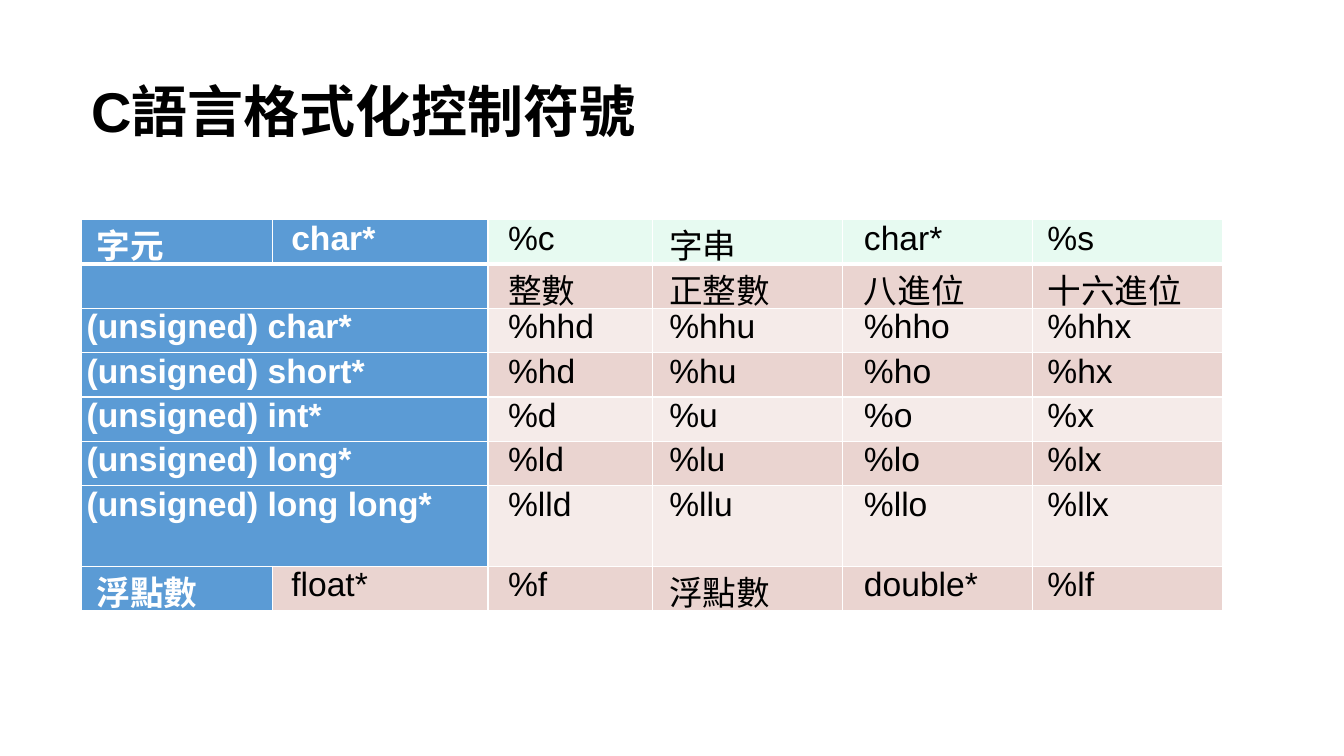
from lxml import etree
from pptx import Presentation
from pptx import util as u
from pptx.dml.color import RGBColor
from pptx.enum import text as t
from pptx.oxml.ns import qn

PX = 9144  # EMU in one px, 100 px to the inch
BLUE, MINT, ROSE, PALE = "5B9BD5", "E7FAF1", "EAD4D0", "F5EBE9"
WHITE, BLACK = "FFFFFF", "000000"

TITLE = "C語言格式化控制符號"
COLUMN_WIDTHS = [189, 214, 163, 189, 188, 189]
COLUMN_INDENTS = [11, 15, 16, 13, 17, 11]
ROW_HEIGHTS = [44, 44, 44, 44, 44, 44, 80, 44]
INTEGER_TYPES = {"char": "hh", "short": "h", "int": "", "long": "l", "long long": "ll"}

# None marks a cell covered by the merged cell on its left
FORMAT_ROWS = [
    ["字元", "char*", "%c", "字串", "char*", "%s"],
    ["", None, "整數", "正整數", "八進位", "十六進位"],
    *[[f"(unsigned) {name}*", None] + [f"%{length}{base}" for base in "duox"]
      for name, length in INTEGER_TYPES.items()],
    ["浮點數", "float*", "%f", "浮點數", "double*", "%lf"],
]


def px(length):
    return u.Emu(length * PX)


def color(hex_code):
    return RGBColor.from_string(hex_code)


def write(frame, content, size=24, fill=BLACK, bold=False, align=None, indent=0, spacing=None):
    paragraph = frame.paragraphs[0]
    paragraph.alignment = align
    paragraph.line_spacing = spacing
    properties = paragraph._p.get_or_add_pPr()
    properties.set("marL", "0")
    properties.set("indent", str(px(indent)))
    run = paragraph.add_run()
    run.text = content
    run.font.name = "Arial"
    run.font.size = u.Pt(size)
    run.font.bold = bold
    run.font.color.rgb = color(fill)


class SlideBuilder:
    def __init__(self, slide):
        self.slide = slide

    def title(self, content, left, top, width, height):
        frame = self.slide.shapes.add_textbox(*map(px, (left, top, width, height))).text_frame
        frame.word_wrap = True
        frame.vertical_anchor = t.MSO_ANCHOR.MIDDLE
        write(frame, content, size=40, bold=True, spacing=0.9)

    def border(self, cell, **widths):
        properties = cell._tc.get_or_add_tcPr()
        for side, width in widths.items():
            line = etree.SubElement(properties, qn(f"a:ln{side}"), w=str(u.Pt(width)))
            solid = etree.SubElement(line, qn("a:solidFill"))
            etree.SubElement(solid, qn("a:srgbClr"), val=WHITE)

    def cell(self, cell, content, fill, indent, header, top, bottom):
        cell.margin_left = cell.margin_right = px(4)
        cell.margin_top = cell.margin_bottom = 0
        self.border(cell, L=1, R=1, T=top, B=bottom)
        cell.fill.solid()
        cell.fill.fore_color.rgb = color(fill)
        if content:
            write(cell.text_frame, content, fill=WHITE if header else BLACK, bold=header,
                  align=t.PP_ALIGN.JUSTIFY, indent=indent)

    def format_table(self, rows, left, top):
        width, height = sum(COLUMN_WIDTHS), sum(ROW_HEIGHTS)
        table = self.slide.shapes.add_table(
            len(rows), len(COLUMN_WIDTHS), *map(px, (left, top, width, height))).table
        table.first_row = table.horz_banding = False
        for column, column_width in zip(table.columns, COLUMN_WIDTHS):
            column.width = px(column_width)
        for row, row_height in zip(table.rows, ROW_HEIGHTS):
            row.height = px(row_height)

        for r, row in enumerate(rows):
            merged = row[1] is None
            band = MINT if r == 0 else ROSE if r % 2 else PALE
            for c, content in enumerate(row):
                # The first column, merged cells and the first type name are headers
                header = c == 0 or (c == 1 and (merged or r == 0))
                self.cell(table.cell(r, c), content, BLUE if header else band,
                          1 if merged and c == 0 else COLUMN_INDENTS[c], header,
                          top=3 if r == 1 else 1, bottom=3 if r == 0 else 1)
            if merged:
                table.cell(r, 0).merge(table.cell(r, 1))


def main():
    deck = Presentation()
    deck.slide_width, deck.slide_height = px(1333), px(750)
    builder = SlideBuilder(deck.slides.add_slide(deck.slide_layouts[6]))
    # Heading
    builder.title(TITLE, 81, 42, 1132, 143)
    # Format specifiers by type
    builder.format_table(FORMAT_ROWS, 81, 218)
    deck.save("out.pptx")


if __name__ == "__main__":
    main()
